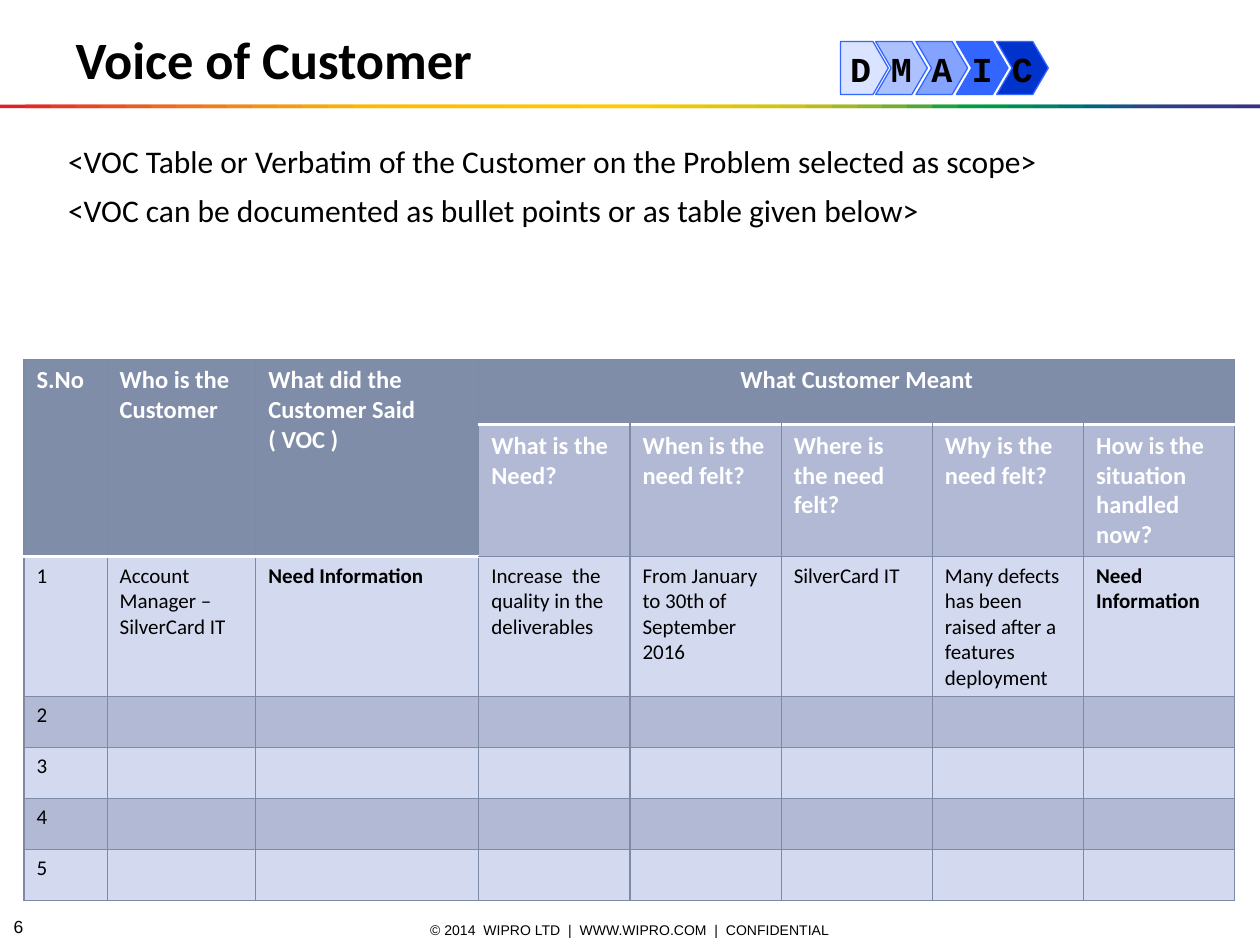
from lxml import etree
from pptx import Presentation
from pptx.dml.color import RGBColor
from pptx.enum.shapes import MSO_SHAPE
from pptx.enum.text import MSO_ANCHOR, MSO_AUTO_SIZE, PP_ALIGN
from pptx.oxml.ns import qn
from pptx.util import Inches, Pt

RECTANGLE, CHEVRON, PENTAGON = MSO_SHAPE.RECTANGLE, MSO_SHAPE.CHEVRON, MSO_SHAPE.PENTAGON
TOP, MIDDLE = MSO_ANCHOR.TOP, MSO_ANCHOR.MIDDLE
LEFT, CENTER = PP_ALIGN.LEFT, PP_ALIGN.CENTER
NO_AUTOFIT = MSO_AUTO_SIZE.NONE

BLACK = RGBColor(0x00, 0x00, 0x00)
WHITE = RGBColor(0xFF, 0xFF, 0xFF)
PHASE_BLUE = RGBColor(0x33, 0x66, 0xFF)
CONTROL_BLUE = RGBColor(0x00, 0x33, 0xCC)
HEADER_FILL = RGBColor(0x80, 0x8D, 0xA9)
BAND_FILL = RGBColor(0xB1, 0xB9, 0xD4)
LIGHT_FILL = RGBColor(0xD3, 0xD9, 0xEE)
GRID_LINE = RGBColor(0x7C, 0x8A, 0xA6)
RAINBOW = [RGBColor.from_string(code) for code in """
E31E24 E42C24 E53A24 E74623 E85122 EA5D21 EC691F EE741D EF7E1A F18817
F39314 F49C0F F6A607 F8B002 FBBA00 FBBB00 FBBD00 FCBF00 FCC000 FCC200
FDC400 FDC600 FDC700 FEC900 FECB00 FBCB00 F3CA00 ECC800 E4C602 DCC50A
D5C30E CCC117 B8BC21 A3B829 8CB230 71AD36 51A73B 1DA240 009D43 009846
008C57 008068 007275 00637F 185384 2E4285 313E85 333B85 353885 393185
""".split()]

TITLE_FONT = {"name": "Calibri", "size": Pt(30), "bold": True}
BODY_FONT = {"name": "Calibri", "size": Pt(18), "bold": False}
PHASE_FONT = {"name": "Courier New", "size": Pt(20), "bold": True}
HEADER_FONT = {"name": "Calibri", "size": Pt(14), "bold": True}
ENTRY_FONT = {"name": "Calibri", "size": Pt(12), "bold": False}
MISSING_FONT = {**ENTRY_FONT, "bold": True}
FOOTER_FONT = {"name": "Arial", "size": Pt(8)}
NUMBER_FONT = {"name": "Arial", "size": Pt(10)}

COLUMN_WIDTHS = [0.66, 1.18, 1.77] + [1.2] * 5
ROW_HEIGHTS = [0.52, 1.05, 1.11] + [0.405] * 4
TALL_HEADERS = 3
MISSING = "Need Information"
VOC_ROWS = [
    ["S.No", "Who is the Customer", "What did the Customer Said ( VOC )",
     "What Customer Meant", "", "", "", ""],
    ["", "", "", "What is the Need?", "When is the need felt?", "Where is the need felt?",
     "Why is the need felt?", "How is the situation handled now?"],
    ["1", "Account Manager – SilverCard IT", MISSING, "Increase  the quality in the deliverables",
     "From January to 30th of September 2016", "SilverCard IT",
     "Many defects has been raised after a features  deployment", MISSING],
] + [[number] + [""] * 7 for number in "2345"]


def apply_format(target, formats):
    for attribute, value in formats.items():
        setattr(target, attribute, value)


def write(paragraph, text, font, color=BLACK, align=LEFT):
    paragraph.alignment = align
    run = paragraph.add_run()
    run.text = text
    apply_format(run.font, font)
    run.font.color.rgb = color


def fill_placeholder(placeholder, box, lines, font, inset, anchor):
    apply_format(placeholder, dict(zip(("left", "top", "width", "height"), map(Inches, box))))
    frame = placeholder.text_frame
    apply_format(frame, {"word_wrap": True, "auto_size": NO_AUTOFIT, "vertical_anchor": anchor,
                         "margin_left": Inches(inset), "margin_right": Inches(inset),
                         "margin_top": Inches(0.05), "margin_bottom": Inches(0.05)})
    for index, line in enumerate(lines):
        paragraph = frame.add_paragraph() if index else frame.paragraphs[0]
        properties = paragraph._p.get_or_add_pPr()
        properties.set("marL", "0")
        properties.set("indent", "0")
        etree.SubElement(properties, qn("a:buNone"))
        paragraph.space_before = Pt(6 if index else 0)
        write(paragraph, line, font)


def add_footer_text(slide, box, text, font, align):
    frame = slide.shapes.add_textbox(*map(Inches, box)).text_frame
    apply_format(frame, {"word_wrap": True, "vertical_anchor": MIDDLE,
                         "margin_top": 0, "margin_bottom": 0})
    write(frame.paragraphs[0], text, font, align=align)


def add_rainbow_rule(slide):
    stripes = slide.shapes.add_group_shape().shapes
    step = 10 / len(RAINBOW)
    for index, color in enumerate(RAINBOW):
        left = index * step
        stripe = stripes.add_shape(RECTANGLE, Inches(left), Inches(0.83),
                                   Inches(min(2 * step, 10 - left)), Inches(0.03))
        stripe.shadow.inherit = False
        stripe.fill.solid()
        stripe.fill.fore_color.rgb = color
        stripe.line.fill.background()


def add_phase(phases, kind, left, width, notch, letter, color, opacity):
    phase = phases.add_shape(kind, Inches(left), Inches(0.33), Inches(width), Inches(0.42))
    phase.adjustments[0] = notch
    phase.shadow.inherit = False
    phase.fill.solid()
    phase.fill.fore_color.rgb = color
    if opacity < 100:
        fill_color = phase._element.spPr.find(qn("a:solidFill"))[0]
        etree.SubElement(fill_color, qn("a:alpha"), val=str(opacity * 1000))
    phase.line.color.rgb = PHASE_BLUE
    phase.line.width = Pt(0.75)
    apply_format(phase.text_frame, {"word_wrap": False, "vertical_anchor": MIDDLE})
    write(phase.text_frame.paragraphs[0], letter, PHASE_FONT, align=CENTER)


def add_dmaic(slide):
    phases = slide.shapes.add_group_shape().shapes
    chevrons = [("M", PHASE_BLUE, 40), ("A", PHASE_BLUE, 60),
                ("I", PHASE_BLUE, 100), ("C", CONTROL_BLUE, 100)]
    for index, (letter, color, opacity) in enumerate(chevrons):
        add_phase(phases, CHEVRON, 6.95 + 0.32 * index, 0.41, 0.3, letter, color, opacity)
    add_phase(phases, PENTAGON, 6.67, 0.38, 0.32, "D", PHASE_BLUE, 18)


def set_borders(cell, white_edges):
    properties = cell._tc.get_or_add_tcPr()
    for position, edge in enumerate(("lnL", "lnR", "lnT", "lnB")):
        is_white = edge in white_edges
        line = etree.Element(qn(f"a:{edge}"), w=str(Pt(2 if is_white else 0.75)))
        fill = etree.SubElement(line, qn("a:solidFill"))
        etree.SubElement(fill, qn("a:srgbClr"), val=str(WHITE if is_white else GRID_LINE))
        properties.insert(position, line)


def format_cell(cell, row, column, text):
    header_end = 2 if column < TALL_HEADERS else 1
    cell.fill.solid()
    if row < header_end:
        cell.fill.fore_color.rgb = HEADER_FILL
    else:
        cell.fill.fore_color.rgb = BAND_FILL if row % 2 else LIGHT_FILL
    white_edges = {"lnT"} if row == header_end else {"lnB"} if row < header_end else set()
    set_borders(cell, white_edges)
    cell.vertical_anchor = TOP
    if text:
        font = HEADER_FONT if row < 2 else MISSING_FONT if text == MISSING else ENTRY_FONT
        is_group = row == 0 and column == TALL_HEADERS
        write(cell.text_frame.paragraphs[0], text, font,
              WHITE if row < 2 else BLACK, CENTER if is_group else LEFT)


def add_voc_table(slide):
    table = slide.shapes.add_table(len(ROW_HEIGHTS), len(COLUMN_WIDTHS), Inches(0.19), Inches(2.85),
                                   Inches(sum(COLUMN_WIDTHS)), Inches(sum(ROW_HEIGHTS))).table
    for column, width in zip(table.columns, COLUMN_WIDTHS):
        column.width = Inches(width)
    for row, height in zip(table.rows, ROW_HEIGHTS):
        row.height = Inches(height)
    for column in range(TALL_HEADERS):
        table.cell(0, column).merge(table.cell(1, column))
    table.cell(0, TALL_HEADERS).merge(table.cell(0, len(COLUMN_WIDTHS) - 1))
    for row, texts in enumerate(VOC_ROWS):
        for column, text in enumerate(texts):
            format_cell(table.cell(row, column), row, column, text)


def main():
    presentation = Presentation()
    presentation.slide_width, presentation.slide_height = Inches(10), Inches(7.5)
    slide = presentation.slides.add_slide(presentation.slide_layouts[1])
    add_footer_text(slide, (3.2, 7.3, 3.6, 0.16),
                    "© 2014  WIPRO LTD  |  WWW.WIPRO.COM  |  CONFIDENTIAL", FOOTER_FONT, CENTER)
    add_footer_text(slide, (0.01, 7.27, 0.39, 0.16), "6", NUMBER_FONT, LEFT)
    add_rainbow_rule(slide)
    fill_placeholder(slide.shapes.title, (0.5, 0.16, 9, 0.61), ["Voice of Customer"],
                     TITLE_FONT, 0.1, MIDDLE)
    fill_placeholder(slide.placeholders[1], (0.49, 1.08, 9.01, 1.16),
                     ["<VOC Table or Verbatim of the Customer on the Problem selected as scope>",
                      "<VOC can be documented as bullet points or as table given below>"],
                     BODY_FONT, 0.05, TOP)
    add_dmaic(slide)
    add_voc_table(slide)
    presentation.save("out.pptx")


if __name__ == "__main__":
    main()
